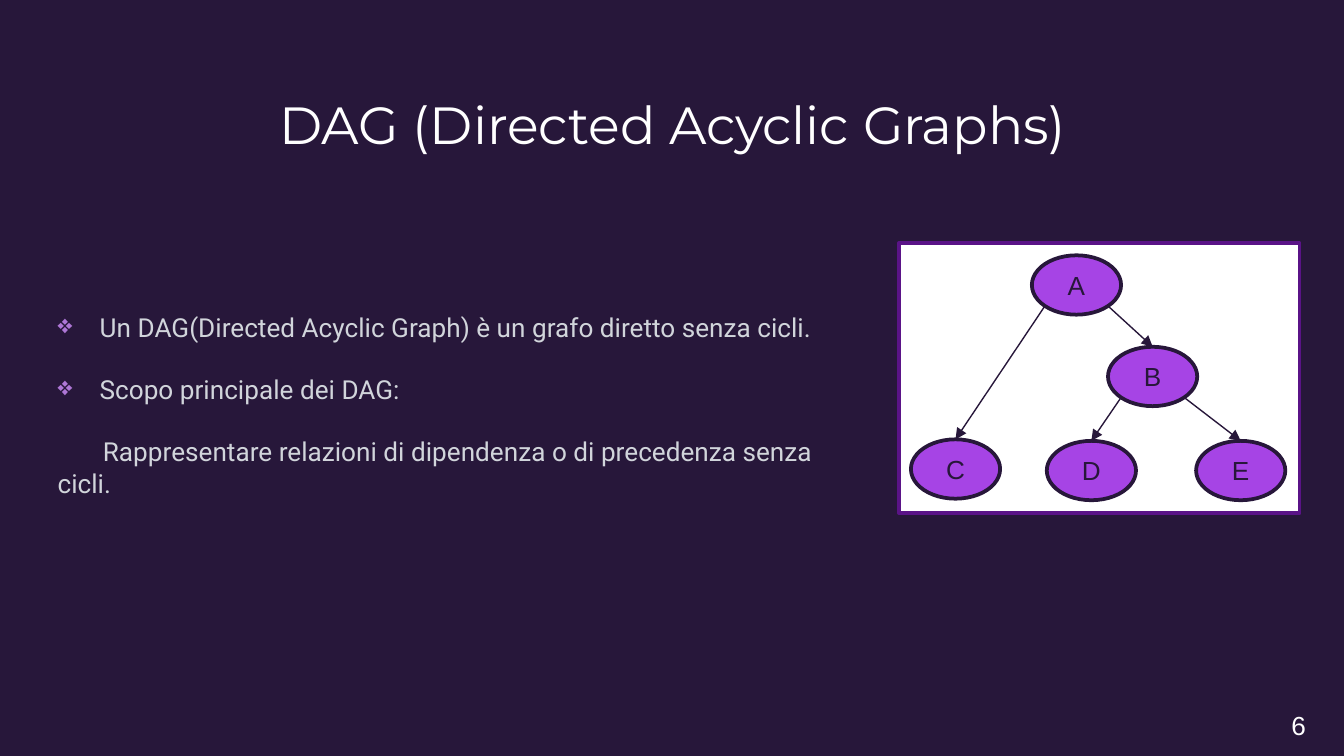
from dataclasses import dataclass

from lxml.etree import SubElement
from pptx import Presentation
from pptx.dml.color import RGBColor as Rgb
from pptx.enum.shapes import MSO_CONNECTOR as Wire, MSO_SHAPE as Form
from pptx.enum.text import MSO_ANCHOR as Anchor, PP_ALIGN as Align
from pptx.oxml.ns import qn
from pptx.util import Pt


@dataclass
class Theme:
    night: str = "27173A"
    white: str = "FFFFFF"
    grey: str = "D1D5DB"
    mark: str = "AE77D6"
    node: str = "A644E5"
    edge: str = "5A1387"
    head: int = 28
    body: int = 14


theme = Theme()


def write(text, frame, size=theme.body, face="Arial", color=theme.white,
          align=Align.LEFT, gap=0, left=0, indent=0, bullet=None):
    frame.word_wrap = True
    para = frame.paragraphs[0]
    if para.text:
        para = frame.add_paragraph()
        para.space_before = Pt(gap)
    para.alignment = align
    props = para._p.get_or_add_pPr()
    props.set("marL", str(Pt(left)))
    props.set("indent", str(Pt(indent)))
    if bullet:
        tint = SubElement(props, qn("a:buClr"))
        SubElement(tint, qn("a:srgbClr"), val=theme.mark)
        SubElement(props, qn("a:buChar"), char=bullet)
    run = para.add_run()
    run.text = text
    run.font.size = Pt(size)
    run.font.name = face
    run.font.color.rgb = Rgb.from_string(color)


def draw(form, x, y, w, h, fill, line):
    shape = slide.shapes.add_shape(form, Pt(x), Pt(y), Pt(w), Pt(h))
    shape.shadow.inherit = False
    shape.fill.solid()
    shape.fill.fore_color.rgb = Rgb.from_string(fill)
    shape.line.color.rgb = Rgb.from_string(line)
    shape.line.width = Pt(2)
    return shape.text_frame


deck = Presentation()
deck.slide_width, deck.slide_height = Pt(720), Pt(405)
slide = deck.slides.add_slide(deck.slide_layouts[6])
slide.background.fill.solid()
slide.background.fill.fore_color.rgb = Rgb.from_string(theme.night)

draw(Form.RECTANGLE, 481.7, 130.2, 214.5, 144.8, theme.white, theme.edge)

title = slide.shapes.add_textbox(Pt(68.4), Pt(42.5), Pt(584), Pt(45.4)).text_frame
title.margin_top = title.margin_bottom = Pt(7.2)
write("DAG (Directed Acyclic Graphs)", title, size=theme.head,
      face="Montserrat", align=Align.CENTER)

body = slide.shapes.add_textbox(Pt(23.8), Pt(163.4), Pt(422), Pt(92.2)).text_frame
for text, style in (
    ("Un DAG(Directed Acyclic Graph) è un grafo diretto senza cicli.",
     dict(left=22.5, indent=-22.5, bullet="❖")),
    ("Scopo principale dei DAG:",
     dict(left=22.5, indent=-22.5, bullet="❖")),
    ("Rappresentare relazioni di dipendenza o di precedenza senza cicli.",
     dict(indent=24.2)),
):
    write(text, body, face="Roboto", color=theme.grey, gap=16.4, **style)

wide, high = 47.8, 31.8
nodes = {"A": (552.8, 136.8), "B": (593.6, 185.8), "C": (488, 235.4),
         "D": (560.8, 236.2), "E": (640.8, 236.2)}
left, right, low = 0.146 * wide, 0.854 * wide, 0.854 * high

for start, end, side in (("A", "C", left), ("A", "B", right),
                         ("B", "D", left), ("B", "E", right)):
    x, y = nodes[start]
    tox, toy = nodes[end]
    wire = slide.shapes.add_connector(
        Wire.STRAIGHT, Pt(x + side), Pt(y + low), Pt(tox + wide / 2), Pt(toy))
    wire.line.color.rgb = Rgb.from_string(theme.night)
    wire.line.width = Pt(0.75)
    SubElement(wire.line._get_or_add_ln(), qn("a:tailEnd"), type="triangle")
    SubElement(wire._element.spPr, qn("a:effectLst"))

for name, (x, y) in nodes.items():
    frame = draw(Form.OVAL, x, y, wide, high, theme.node, theme.night)
    frame.vertical_anchor = Anchor.MIDDLE
    write(name, frame, color=theme.night, align=Align.CENTER)

page = slide.shapes.add_textbox(Pt(684.7), Pt(376.6), Pt(26), Pt(24.2)).text_frame
write("6", page, align=Align.JUSTIFY)

deck.save("out.pptx")
